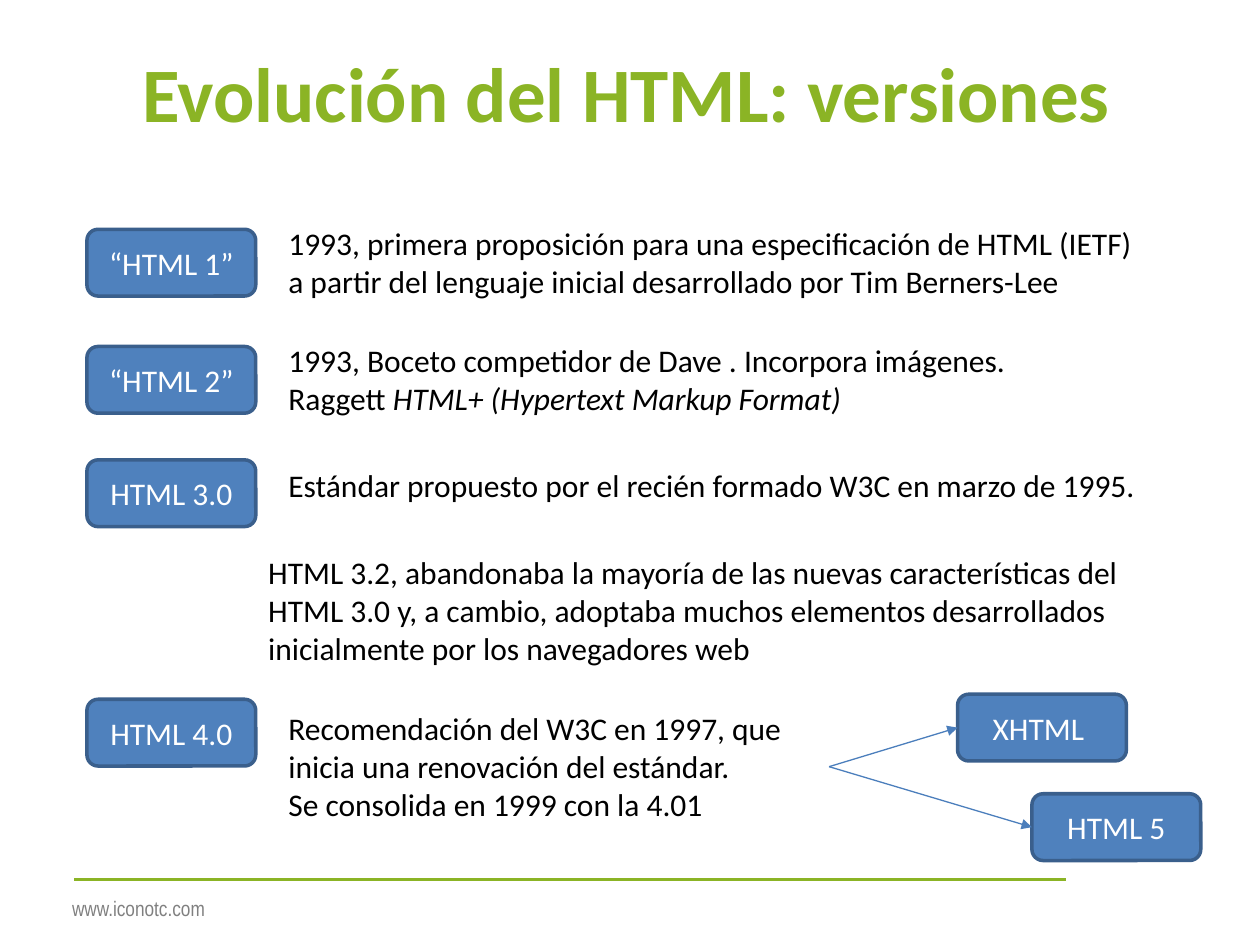
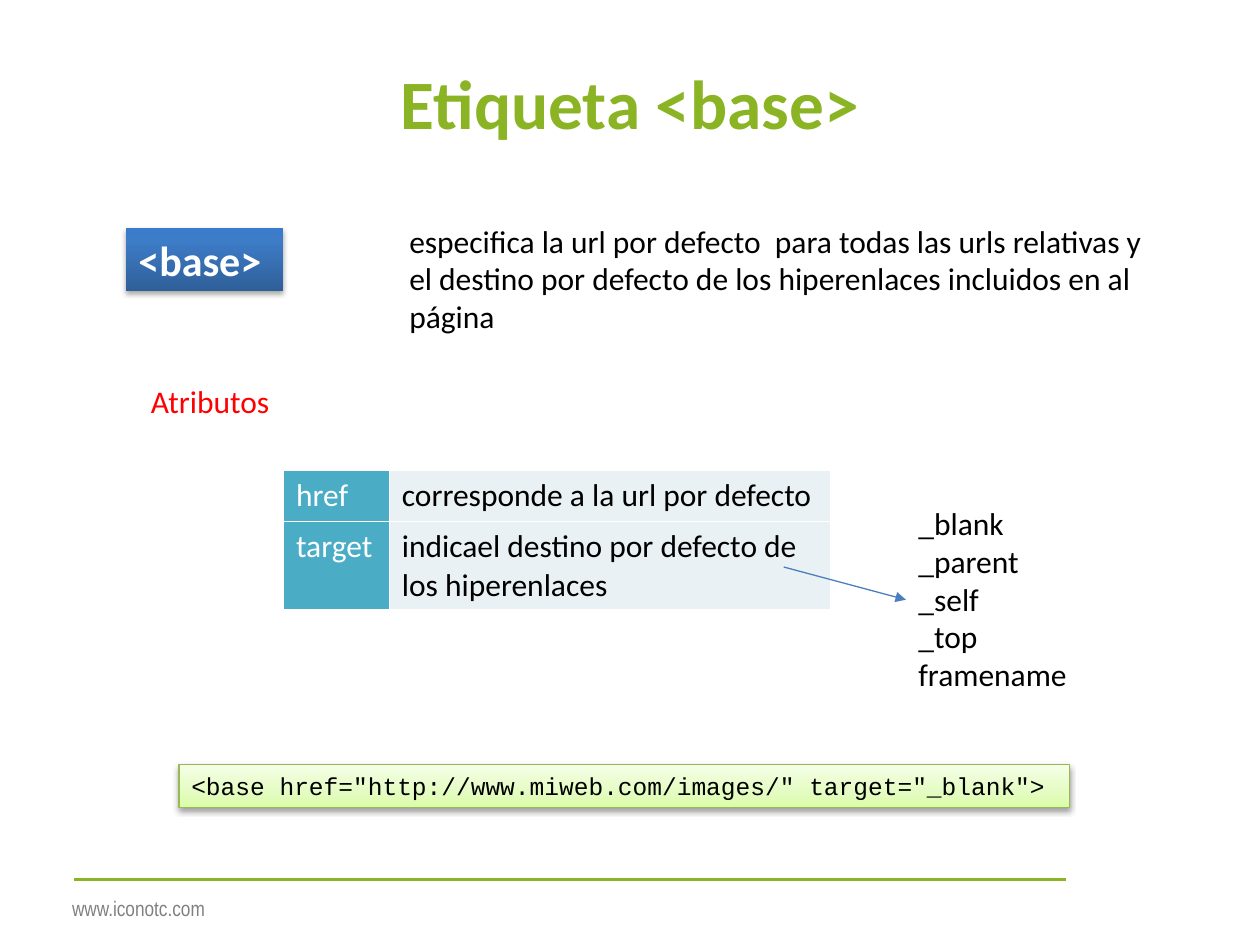
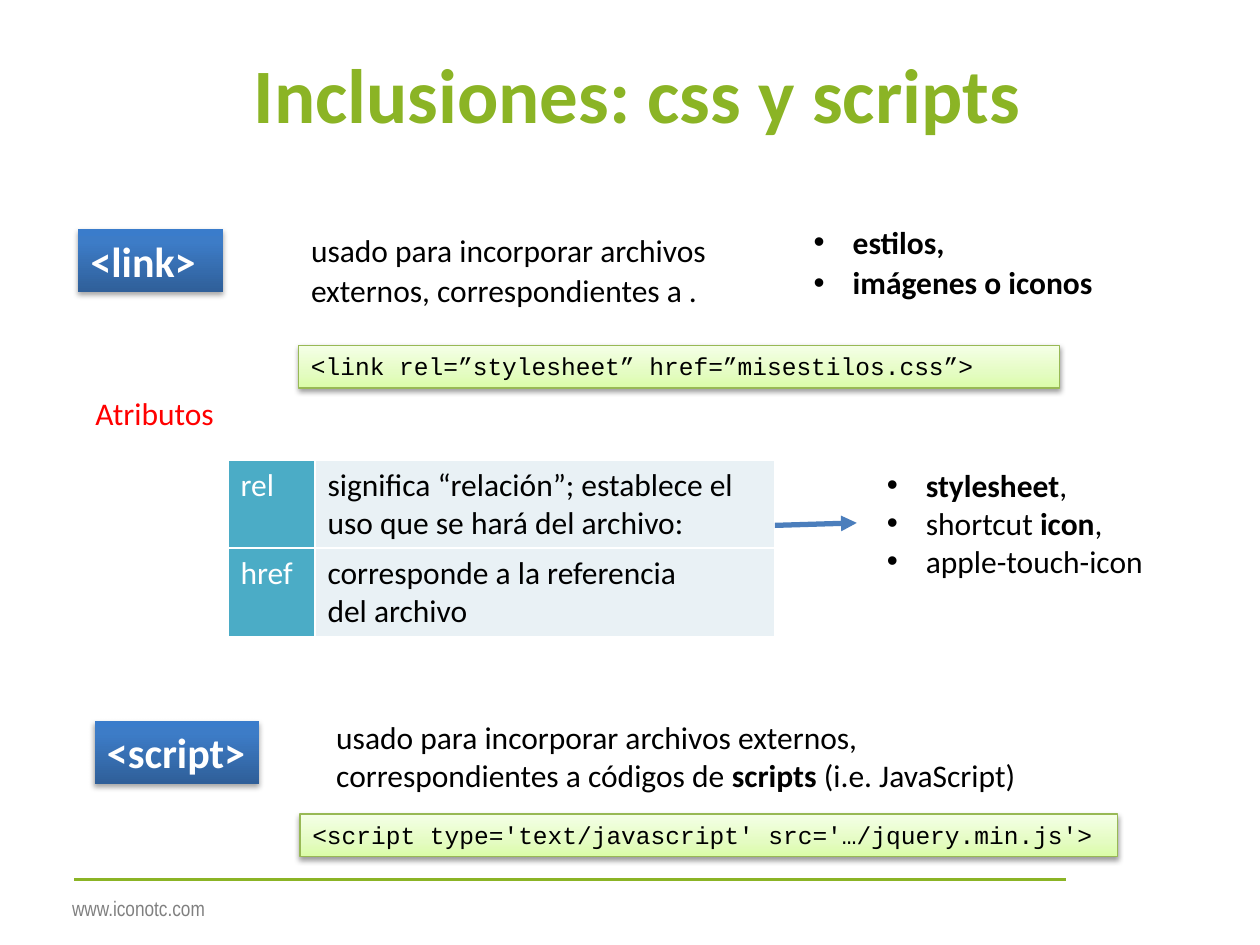
import pptx
import pptx.util
import pptx.dml.color
import pptx.enum.dml
import pptx.enum.shapes
import pptx.enum.text
import pptx.oxml
import pptx.oxml.ns
from pptx.util import Inches

COLORS = {
    "green": "8BB425", "footer": "808080", "text": "000000", "white": "FFFFFF",
    "red": "FF0000", "blue": "4F81BD", "blue_edge": "3A5F8C", "arrow": "4B7EBC",
    "code_edge": "98B955", "name_cell": "4BACC6", "meaning_cell": "E9F1F5",
}
TAG_STOPS = [(0, "2F5F99"), (80, "3D7CC7"), (100, "3A7CCB")]
CODE_STOPS = [(0, "DAFDA7"), (35, "E4FCC2"), (100, "F5FFE7")]
SHAPES = pptx.enum.shapes.MSO_SHAPE
ANCHOR = pptx.enum.text.MSO_ANCHOR
ALIGN = pptx.enum.text.PP_ALIGN
AUTO_SIZE = pptx.enum.text.MSO_AUTO_SIZE
NAMESPACE = pptx.oxml.ns.nsdecls("a")
qn = pptx.oxml.ns.qn


def rgb(name):
    return pptx.dml.color.RGBColor.from_string(COLORS[name])


def add_xml(parent, xml):
    """Append an element of the drawing namespace, given without its declaration."""
    tag, rest = xml[1:].split(" ", 1)
    parent.append(pptx.oxml.parse_xml(f"<{tag} {NAMESPACE} {rest}"))


def place(left, top, width, height):
    return [Inches(length) for length in (left, top, width, height)]


class Course:
    font = "Calibri"
    code_font = "Courier New"
    size = 18

    def __init__(self):
        self.deck = pptx.Presentation()
        self.deck.slide_width = Inches(10)
        self.deck.slide_height = Inches(7.5)
        self.page = None

    def add_page(self, title, at, size=44):
        first = self.page is None
        self.page = self.deck.slides.add_slide(self.deck.slide_layouts[5])
        if first:
            self.add_footer()
        heading = self.page.shapes.title
        heading.left, heading.top, heading.width, heading.height = place(*at)
        self.set_text(heading.text_frame, [title], color="green", size=size, bold=True,
                      align=ALIGN.CENTER, anchor=ANCHOR.MIDDLE)
        heading.text_frame.auto_size = AUTO_SIZE.NONE

    def add_footer(self):
        """Draw the rule and the address, then hand them to the slide master."""
        rule = self.line((0.59, 6.98), (8.46, 6.98), "green", 2.25)
        address = self.text(["www.iconotc.com"], (0.43, 7.06, 1.34, 0.3), size=12,
                            color="footer", font="Arial Narrow", align=ALIGN.CENTER)
        for number, shape in enumerate((rule, address), start=101):
            shape.element.xpath(".//p:cNvPr")[0].set("id", str(number))
            self.deck.slide_master.shapes.element.append(shape.element)

    def set_text(self, frame, paragraphs, size=None, color="text", font=None, bold=False,
                 align=ALIGN.LEFT, anchor=ANCHOR.TOP, bullets=False, spacing=None):
        """Fill a frame; a paragraph is a string or a list of (text, "", "b" or "i")."""
        frame.word_wrap = True
        frame.vertical_anchor = anchor
        for index, content in enumerate(paragraphs):
            para = frame.paragraphs[0] if index == 0 else frame.add_paragraph()
            para.alignment = align
            if bullets:
                properties = para._p.get_or_add_pPr()
                properties.set("marL", str(Inches(0.31)))
                properties.set("indent", str(Inches(-0.31)))
                add_xml(properties, '<a:buFont typeface="Arial"/>')
                add_xml(properties, '<a:buChar char="•"/>')
            if spacing:
                para.line_spacing = spacing
            spans = [(content, "")] if isinstance(content, str) else content
            for text, style in spans:
                for number, piece in enumerate(text.split("\n")):
                    if number:
                        para.add_line_break()
                    span = para.add_run()
                    span.text = piece
                    span.font.name = font or self.font
                    span.font.size = pptx.util.Pt(size or self.size)
                    span.font.color.rgb = rgb(color)
                    span.font.bold = bold or style == "b"
                    span.font.italic = style == "i"

    def text(self, paragraphs, at, wrap=True, **style):
        box = self.page.shapes.add_textbox(*place(*at))
        self.set_text(box.text_frame, paragraphs, **style)
        box.text_frame.word_wrap = wrap
        box.text_frame.auto_size = AUTO_SIZE.SHAPE_TO_FIT_TEXT
        return box

    def version(self, name, left, top):
        box = self.page.shapes.add_shape(SHAPES.ROUNDED_RECTANGLE,
                                         *place(left, top, 1.34, 0.53))
        box.shadow.inherit = False
        box.fill.solid()
        box.fill.fore_color.rgb = rgb("blue")
        box.line.color.rgb = rgb("blue_edge")
        box.line.width = pptx.util.Pt(2)
        self.set_text(box.text_frame, [name], color="white", align=ALIGN.CENTER,
                      anchor=ANCHOR.MIDDLE)
        return box

    def shaded_box(self, at, stops, opacity, distance):
        """Add a rectangle with an upward gradient and a soft shadow below."""
        box = self.page.shapes.add_shape(SHAPES.RECTANGLE, *place(*at))
        box.fill.gradient()
        box.fill.gradient_angle = 90
        stop_list = box.element.spPr.find(qn("a:gradFill")).find(qn("a:gsLst"))
        for stop in list(stop_list):
            stop_list.remove(stop)
        for position, color in stops:
            add_xml(stop_list, f'<a:gs pos="{position * 1000}">'
                               f'<a:srgbClr val="{color}"/></a:gs>')
        box.line.fill.background()
        box.shadow.inherit = False
        add_xml(box.element.spPr.find(qn("a:effectLst")),
                f'<a:outerShdw blurRad="40000" dist="{distance}" dir="5400000" '
                f'rotWithShape="0"><a:srgbClr val="000000">'
                f'<a:alpha val="{opacity * 1000}"/></a:srgbClr></a:outerShdw>')
        return box

    def tag(self, name, left, top, width):
        box = self.shaded_box((left, top, width, 0.5), TAG_STOPS, 35, 23000)
        self.set_text(box.text_frame, [name], size=24, color="white", bold=True,
                      anchor=ANCHOR.MIDDLE)

    def code(self, source, left, top, width):
        box = self.shaded_box((left, top, width, 0.34), CODE_STOPS, 38, 20000)
        box.line.color.rgb = rgb("code_edge")
        box.line.width = pptx.util.Pt(0.75)
        self.set_text(box.text_frame, [source], size=14, font=self.code_font)
        box.text_frame.auto_size = AUTO_SIZE.SHAPE_TO_FIT_TEXT

    def attributes(self, rows, heading_at, left, top, widths):
        """Add the red heading and the table of attribute names and meanings."""
        self.text(["Atributos"], (*heading_at, 1.14, 0.4), wrap=False, color="red")
        table = self.page.shapes.add_table(
            len(rows), 2, *place(left, top, sum(widths), 0.41 * len(rows))).table
        table.first_row = table.horz_banding = False
        for column, width in zip(table.columns, widths):
            column.width = Inches(width)
        looks = [("white", "name_cell"), ("text", "meaning_cell")]
        for row, texts in enumerate(rows):
            for column, (text, (color, fill)) in enumerate(zip(texts, looks)):
                cell = table.cell(row, column)
                for side in "LRTB":
                    add_xml(cell._tc.get_or_add_tcPr(),
                            f'<a:ln{side} w="12700"><a:solidFill><a:srgbClr '
                            f'val="{COLORS["white"]}"/></a:solidFill></a:ln{side}>')
                cell.fill.solid()
                cell.fill.fore_color.rgb = rgb(fill)
                self.set_text(cell.text_frame, [text], color=color)

    def line(self, begin, end, color, width):
        line = self.page.shapes.add_connector(
            pptx.enum.shapes.MSO_CONNECTOR.STRAIGHT,
            *[Inches(length) for length in (*begin, *end)])
        line.line.color.rgb = rgb(color)
        line.line.width = pptx.util.Pt(width)
        add_xml(line.element.spPr, "<a:effectLst />")
        return line

    def arrow(self, begin, end, width=0.75, source=None, target=None):
        """Draw an arrow, joined to the right of source and the left of target."""
        arrow = self.line(begin, end, "arrow", width)
        add_xml(arrow.element.spPr.find(qn("a:ln")), '<a:tailEnd type="triangle"/>')
        if source is not None:
            arrow.begin_connect(source, 3)
        if target is not None:
            arrow.end_connect(target, 1)


def versions_page(course):
    course.add_page("Evolución del HTML: versiones", (0.33, 0.29, 9.29, 0.87))
    for name, top in [("“HTML 1”", 1.82), ("“HTML 2”", 2.75),
                      ("HTML 3.0", 3.65), ("HTML 4.0", 5.55)]:
        course.version(name, 0.69, top)
    course.text(["1993, primera proposición para una especificación de HTML (IETF) "
                 "a partir del lenguaje inicial desarrollado por Tim Berners-Lee"],
                (2.19, 1.73, 6.9, 0.71))
    course.text([[("1993, Boceto competidor de Dave . Incorpora imágenes. \nRaggett ", ""),
                  ("HTML+ (Hypertext Markup Format)", "i")]], (2.19, 2.66, 6.08, 0.71))
    course.text(["Estándar propuesto por el recién formado W3C en marzo de 1995."],
                (2.19, 3.65, 7.01, 0.4))
    course.text(["HTML 3.2, abandonaba la mayoría de las nuevas características del "
                 "HTML 3.0 y, a cambio, adoptaba muchos elementos desarrollados "
                 "inicialmente por los navegadores web"], (2.03, 4.34, 7.18, 1.01))
    html4 = course.text(["Recomendación del W3C en 1997, que inicia una renovación "
                         "del estándar.", "Se consolida en 1999 con la 4.01"],
                        (2.19, 5.58, 4.39, 1.01))
    for name, left, top in [("XHTML ", 7.6, 5.51), ("HTML 5", 8.19, 6.3)]:
        successor = course.version(name, left, top)
        course.arrow((6.58, 6.08), (left, top + 0.26), source=html4, target=successor)


def base_page(course):
    course.add_page("Etiqueta <base>", (0.69, 0.4, 8.62, 0.82), size=39.6)
    course.tag("<base>", 1, 1.81, 1.25)
    course.text(["especifica la url por defecto  para todas las urls relativas y el "
                 "destino por defecto de los hiperenlaces incluidos en al página"],
                (3.15, 1.71, 6.16, 1.01))
    course.attributes([("href", "corresponde a la url por defecto"),
                       ("target", "indicael destino por defecto de los hiperenlaces")],
                      (1.1, 2.98), 2.25, 3.73, (0.84, 3.5))
    targets = course.text(["_blank", "_parent", "_self", "_top", "framename"],
                          (7.19, 3.95, 1.68, 1.62))
    course.arrow((6.22, 4.5), (7.19, 4.76), target=targets)
    course.code('<base href="http://www.miweb.com/images/" target="_blank">',
                1.42, 6.07, 7.07)


def inclusions_page(course):
    course.add_page("Inclusiones: css y scripts", (0.75, 0.23, 8.62, 1.01))
    course.tag("<link>", 0.62, 1.82, 1.15)
    course.text(["usado para incorporar archivos externos, correspondientes a ."],
                (2.37, 1.76, 3.41, 0.75), spacing=1.07)
    course.text(["estilos,", "imágenes o iconos"], (6.36, 1.7, 2.5, 0.75),
                bold=True, bullets=True, spacing=1.07)
    course.code("<link rel=”stylesheet” href=”misestilos.css”>", 2.37, 2.74, 6.04)
    course.attributes([("rel", "significa “relación”; establece el uso que se hará "
                               "del archivo:"),
                       ("href", "corresponde a la referencia\ndel archivo")],
                      (0.66, 3.08), 1.81, 3.65, (0.69, 3.65))
    course.text([[("stylesheet", "b"), (",", "")],
                 [("shortcut ", ""), ("icon", "b"), (",", "")],
                 "apple-touch-icon"], (6.94, 3.65, 2.44, 1.01), bullets=True)
    course.arrow((6.15, 4.17), (6.8, 4.15), width=3)
    course.tag("<script>", 0.75, 5.72, 1.31)
    course.text([[("usado para incorporar archivos externos, correspondientes a "
                   "códigos de ", ""), ("scripts", "b"), (" (i.e. JavaScript)", "")]],
                (2.57, 5.65, 5.85, 0.71))
    course.code("<script type='text/javascript' src='…/jquery.min.js'>",
                2.38, 6.46, 6.49)


def main():
    course = Course()
    versions_page(course)
    base_page(course)
    inclusions_page(course)
    course.deck.save("out.pptx")


if __name__ == "__main__":
    main()
